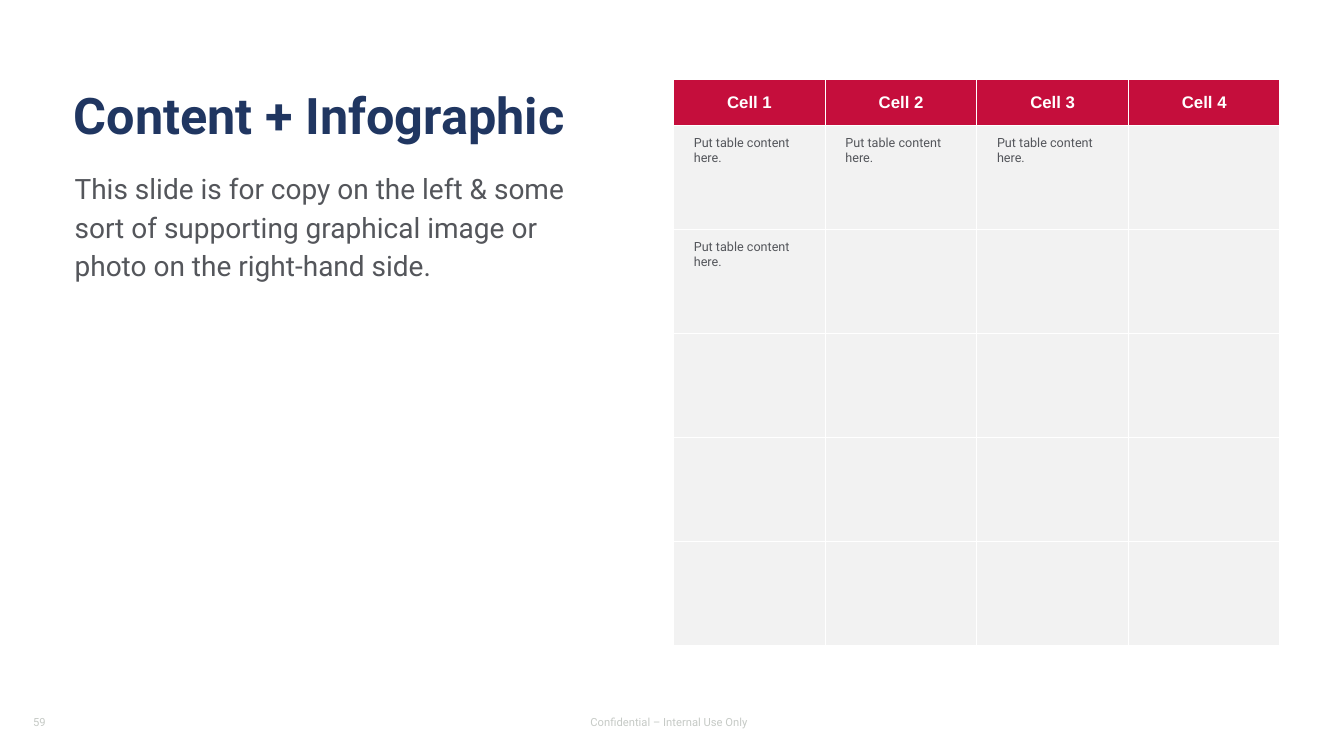
from pptx import Presentation
from pptx.dml.color import RGBColor
from pptx.enum.text import MSO_ANCHOR, PP_ALIGN
from pptx.oxml.ns import qn
from pptx.util import Pt
from lxml.etree import SubElement

COLORS = {
    "navy": "203661",
    "gray": "54565B",
    "footer": "C6CAC6",
    "red": "C50E3C",
    "cell": "F2F2F2",
    "white": "FFFFFF",
}
HEADERS = ["Cell 1", "Cell 2", "Cell 3", "Cell 4"]
PROMPT = "Put table content here."
ROWS = [
    HEADERS,
    [PROMPT, PROMPT, PROMPT, ""],
    [PROMPT, "", "", ""],
    [""] * 4,
    [""] * 4,
    [""] * 4,
]


def rgb(name):
    return RGBColor.from_string(COLORS[name])


def write(tf, text, size, color, bold=False, font="Roboto", align=PP_ALIGN.LEFT, spacing=None):
    p = tf.paragraphs[0]
    p.text = text
    p.alignment = align
    p.line_spacing = spacing
    p.font.size = Pt(size)
    p.font.name = font
    p.font.bold = bold
    p.font.color.rgb = rgb(color)


def add_title(s, text):
    sp = s.shapes.title
    sp.left, sp.top, sp.width, sp.height = Pt(45.4), Pt(28.8), Pt(864), Pt(77.8)
    sp.text_frame.vertical_anchor = MSO_ANCHOR.BOTTOM
    write(sp.text_frame, text, 36, "navy", bold=True, spacing=0.8)


def add_text(s, box, text, size, color, anchor=MSO_ANCHOR.TOP, **style):
    tf = s.shapes.add_textbox(*map(Pt, box)).text_frame
    tf.word_wrap = True
    tf.vertical_anchor = anchor
    write(tf, text, size, color, **style)


def set_borders(cell):
    tcPr = cell._tc.get_or_add_tcPr()
    for i, side in enumerate(("a:lnL", "a:lnR", "a:lnT", "a:lnB")):
        ln = SubElement(tcPr, qn(side), w=str(Pt(1)))
        fill = SubElement(ln, qn("a:solidFill"))
        SubElement(fill, qn("a:srgbClr"), val=COLORS["white"])
        tcPr.insert(i, ln)


def format_cell(cell, text, header):
    cell.fill.solid()
    cell.fill.fore_color.rgb = rgb("red" if header else "cell")
    set_borders(cell)
    if header:
        cell.vertical_anchor = MSO_ANCHOR.MIDDLE
        write(cell.text_frame, text, 12, "white", bold=True, font="Arial", align=PP_ALIGN.CENTER)
    else:
        cell.margin_left = cell.margin_right = Pt(14.4)
        cell.margin_top = cell.margin_bottom = Pt(7.2)
        write(cell.text_frame, text, 9, "gray")


def add_grid(s, left, top, col_width, header_height, row_height):
    heights = [header_height] + [row_height] * (len(ROWS) - 1)
    frame = s.shapes.add_table(len(ROWS), len(HEADERS), Pt(left), Pt(top),
                               Pt(col_width * len(HEADERS)), Pt(sum(heights)))
    table = frame.table
    table.horz_banding = False
    for col in table.columns:
        col.width = Pt(col_width)
    for r, (texts, height) in enumerate(zip(ROWS, heights)):
        table.rows[r].height = Pt(height)
        for c, text in enumerate(texts):
            format_cell(table.cell(r, c), text, r == 0)


def main():
    prs = Presentation()
    prs.slide_width, prs.slide_height = Pt(960), Pt(540)
    s = prs.slides.add_slide(prs.slide_layouts[5])
    add_title(s, "Content + Infographic")
    add_text(s, (46.2, 115.9, 391, 334.8),
             "This slide is for copy on the left & some sort of supporting "
             "graphical image or photo on the right-hand side.",
             20, "gray", spacing=1.14)
    add_grid(s, 481.2, 56.4, 108.3, 33.5, 74.3)
    add_text(s, (370, 504, 216, 23), "Confidential – Internal Use Only", 8, "footer",
             anchor=MSO_ANCHOR.MIDDLE, align=PP_ALIGN.CENTER)
    add_text(s, (16.6, 504, 216, 23), "59", 8, "footer", anchor=MSO_ANCHOR.MIDDLE)
    prs.save("out.pptx")


if __name__ == "__main__":
    main()
